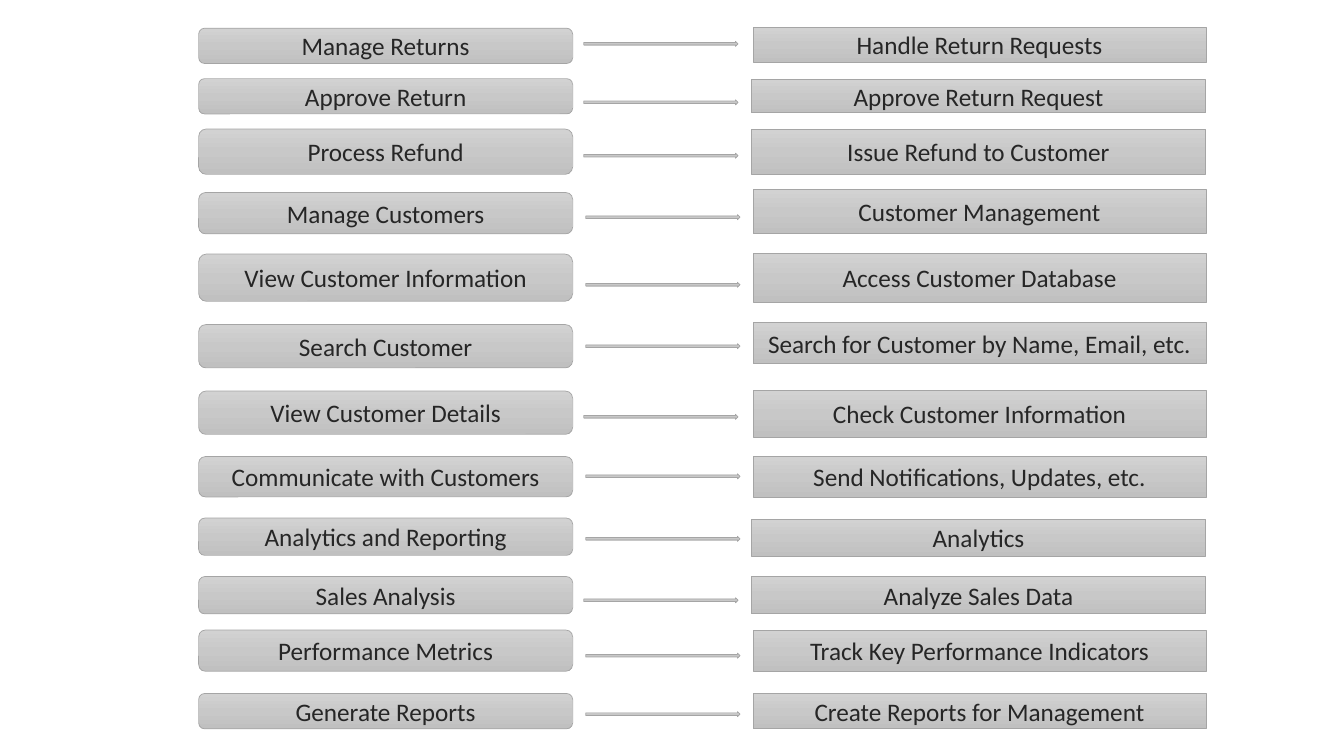
"""Build a slide that maps each use case to its system action."""
from copy import deepcopy
from dataclasses import dataclass

from pptx import Presentation
from pptx import util as u
from pptx.dml.color import RGBColor
from pptx.enum import shapes, text
from pptx.shapes.autoshape import Shape
from pptx.slide import Slide

COLORS = {"light": "D2D2D2", "middle": "C8C8C8", "dark": "C0C0C0",
          "line": "A5A5A5", "text": "262626"}
GRADIENT = [(0, "light"), (0.5, "middle"), (1, "dark")]
CASE_LEFT, CASE_WIDTH = 1.97, 3.71
ACTION_RIGHT = 11.96
ARROW_WIDTH, ARROW_HEIGHT = 1.53, 0.05


@dataclass
class Band:
    label: str
    top: float
    height: float


@dataclass
class Mapping:
    case: Band
    action: Band
    arrow_top: float
    arrow_left: float = 5.81
    action_left: float = 7.47


MAPPINGS = [
    Mapping(Band("Manage Returns", 0.28, 0.35),
            Band("Handle Return Requests", 0.27, 0.35), 0.41, 5.79),
    Mapping(Band("Approve Return", 0.78, 0.35),
            Band("Approve Return Request", 0.79, 0.33), 0.99, 5.79, 7.45),
    Mapping(Band("Process Refund", 1.28, 0.45),
            Band("Issue Refund to Customer", 1.28, 0.45), 1.52, 5.79, 7.45),
    Mapping(Band("Manage Customers", 1.91, 0.41),
            Band("Customer Management", 1.88, 0.44), 2.13),
    Mapping(Band("View Customer Information", 2.52, 0.47),
            Band("Access Customer Database", 2.51, 0.49), 2.8),
    Mapping(Band("Search Customer", 3.22, 0.43),
            Band("Search for Customer by Name, Email, etc.", 3.2, 0.41), 3.41),
    Mapping(Band("View Customer Details", 3.88, 0.43),
            Band("Check Customer Information", 3.87, 0.47), 4.11, 5.79),
    Mapping(Band("Communicate with Customers", 4.53, 0.4),
            Band("Send Notifications, Updates, etc.", 4.53, 0.4), 4.7),
    Mapping(Band("Analytics and Reporting", 5.14, 0.37),
            Band("Analytics", 5.15, 0.37), 5.32, action_left=7.45),
    Mapping(Band("Sales Analysis", 5.72, 0.37),
            Band("Analyze Sales Data", 5.72, 0.37), 5.93, 5.79, 7.45),
    Mapping(Band("Performance Metrics", 6.25, 0.41),
            Band("Track Key Performance Indicators", 6.25, 0.41), 6.48),
    Mapping(Band("Generate Reports", 6.88, 0.35),
            Band("Create Reports for Management", 6.88, 0.35), 7.06),
]


def color(name: str) -> RGBColor:
    return RGBColor.from_string(COLORS[name])


def add_gray_shape(page: Slide, kind: shapes.MSO_SHAPE, left: float, top: float,
                   width: float, height: float) -> Shape:
    shape = page.shapes.add_shape(kind, u.Inches(left), u.Inches(top),
                                  u.Inches(width), u.Inches(height))
    shape.shadow.inherit = False
    shape.fill.gradient()
    shape.fill.gradient_angle = 270
    stop_list = shape.element.xpath(".//a:gsLst")[0]
    stop_list.insert(1, deepcopy(stop_list[0]))
    for stop, (position, name) in zip(shape.fill.gradient_stops, GRADIENT):
        stop.position = position
        stop.color.rgb = color(name)
    shape.line.color.rgb = color("line")
    shape.line.width = u.Pt(0.5)
    return shape


def add_band(page: Slide, kind: shapes.MSO_SHAPE, left: float, width: float,
             band: Band) -> None:
    box = add_gray_shape(page, kind, left, band.top, width, band.height)
    box.text_frame.vertical_anchor = text.MSO_ANCHOR.MIDDLE
    para = box.text_frame.paragraphs[0]
    para.alignment = text.PP_ALIGN.CENTER
    span = para.add_run()
    span.text = band.label
    span.font.name = "Calibri"
    span.font.size = u.Pt(18)
    span.font.color.rgb = color("text")


def add_mapping(page: Slide, mapping: Mapping) -> None:
    add_band(page, shapes.MSO_SHAPE.ROUNDED_RECTANGLE, CASE_LEFT, CASE_WIDTH,
             mapping.case)
    add_band(page, shapes.MSO_SHAPE.RECTANGLE, mapping.action_left,
             ACTION_RIGHT - mapping.action_left, mapping.action)
    add_gray_shape(page, shapes.MSO_SHAPE.RIGHT_ARROW, mapping.arrow_left,
                   mapping.arrow_top, ARROW_WIDTH, ARROW_HEIGHT)


def main() -> None:
    deck = Presentation()
    deck.slide_width, deck.slide_height = u.Inches(13.33), u.Inches(7.5)
    page = deck.slides.add_slide(deck.slide_layouts[6])
    for mapping in MAPPINGS:
        add_mapping(page, mapping)
    deck.save("out.pptx")


if __name__ == "__main__":
    main()
